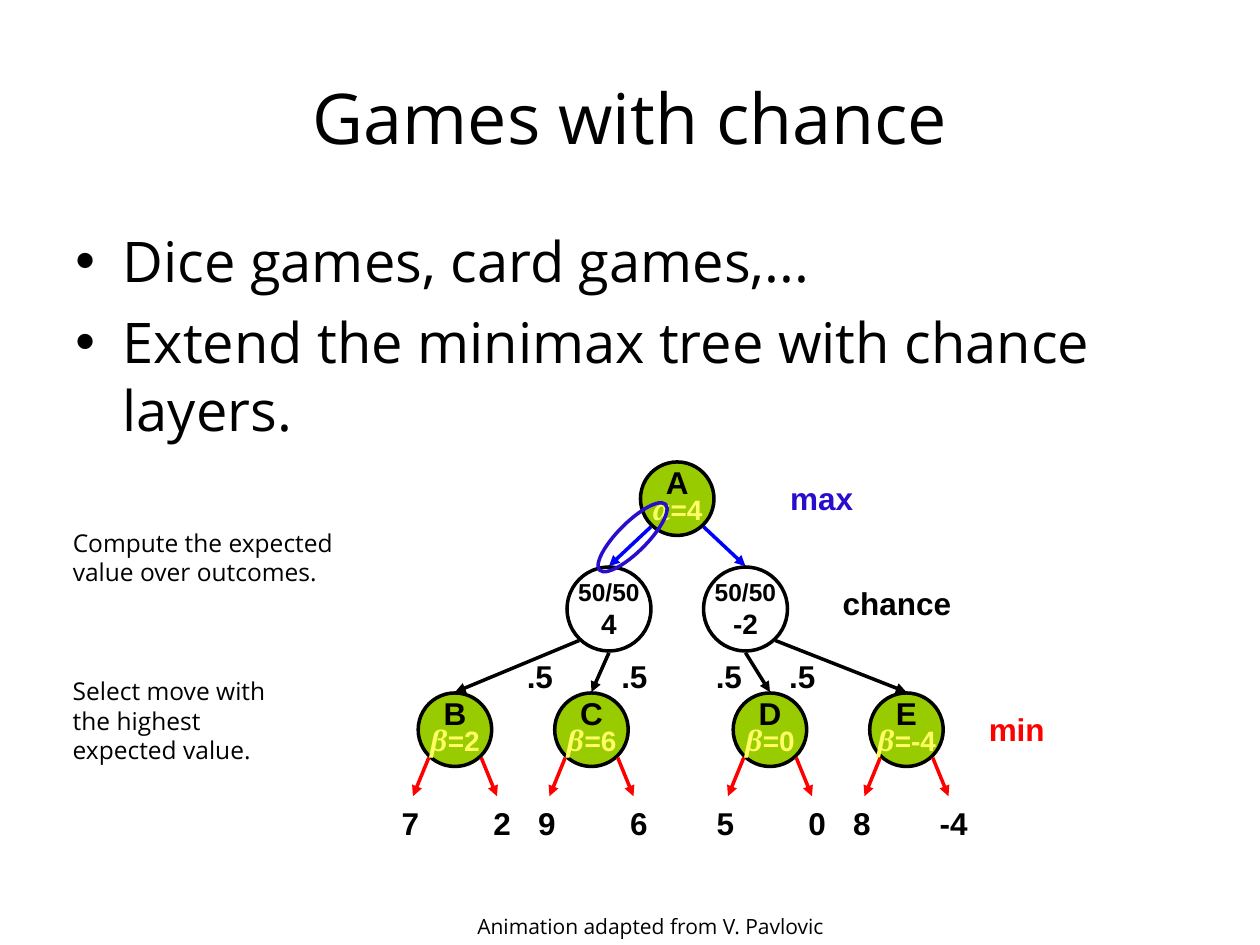
from lxml import etree
from pptx import Presentation
from pptx.dml.color import RGBColor
from pptx.enum.shapes import MSO_CONNECTOR, MSO_SHAPE
from pptx.enum.text import MSO_ANCHOR, MSO_AUTO_SIZE, PP_ALIGN
from pptx.oxml.ns import qn
from pptx.util import Pt

LEFT, CENTER = PP_ALIGN.LEFT, PP_ALIGN.CENTER
TOP, MIDDLE = MSO_ANCHOR.TOP, MSO_ANCHOR.MIDDLE
GROW = MSO_AUTO_SIZE.SHAPE_TO_FIT_TEXT
OVAL, STRAIGHT = MSO_SHAPE.OVAL, MSO_CONNECTOR.STRAIGHT
COLORS = {
    "black": "000000", "white": "FFFFFF", "green": "99CC00", "yellow": "FFFF66",
    "blue": "0000FF", "violet": "290DCF", "red": "FF0000",
}
BODY, LABEL, GREEK = "Open Sans", "Arial", "Cambria"
LINE_W = 2
NODE, CHANCE = 42, 48          # circle diameters
LABEL_H = 28.8


def rgb(name):
    return RGBColor.from_string(COLORS[name])


def add_run(p, text, size, font=BODY, color="black", bold=False, italic=False):
    r = p.add_run()
    r.text = text
    f = r.font
    f.size, f.name, f.bold, f.italic = Pt(size), font, bold, italic
    f.color.rgb = rgb(color)


def add_text(s, x, y, w, h, text, size, align=LEFT, anchor=TOP, wrap=True, **style):
    tf = s.shapes.add_textbox(Pt(x), Pt(y), Pt(w), Pt(h)).text_frame
    tf.word_wrap, tf.vertical_anchor = wrap, anchor
    if not wrap:
        tf.auto_size = GROW
    p = tf.paragraphs[0]
    p.alignment = align
    add_run(p, text, size, **style)


def add_label(s, cx, y, text, color="black", w=40):
    add_text(s, cx - w / 2, y, w, LABEL_H, text, 18, CENTER, wrap=False,
             font=LABEL, color=color, bold=True)


def add_oval(s, cx, cy, w, h, line="black", fill=None):
    sp = s.shapes.add_shape(OVAL, Pt(cx - w / 2), Pt(cy - h / 2), Pt(w), Pt(h))
    sp.shadow.inherit = False
    if fill:
        sp.fill.solid()
        sp.fill.fore_color.rgb = rgb(fill)
    else:
        sp.fill.background()
    sp.line.color.rgb = rgb(line)
    sp.line.width = Pt(LINE_W)
    sp.text_frame.word_wrap = False
    sp.text_frame.vertical_anchor = MIDDLE
    return sp


def add_arrow(s, x1, y1, x2, y2, color):
    c = s.shapes.add_connector(STRAIGHT, Pt(x1), Pt(y1), Pt(x2), Pt(y2))
    c.line.color.rgb = rgb(color)
    c.line.width = Pt(LINE_W)
    etree.SubElement(c.line._get_or_add_ln(), qn("a:tailEnd"), type="triangle")
    etree.SubElement(c._element.spPr, qn("a:effectLst"))


def player_node(s, cx, cy, name, greek, value):
    p = add_oval(s, cx, cy, NODE, NODE, fill="green").text_frame.paragraphs[0]
    p.alignment, p.line_spacing = CENTER, 0.75
    add_run(p, name, 18, LABEL, bold=True)
    p.add_line_break()
    add_run(p, greek, 16, GREEK, "yellow", bold=True, italic=True)
    add_run(p, "=" + value, 16, LABEL, "yellow", bold=True)


def chance_node(s, cx, cy, value):
    tf = add_oval(s, cx, cy, CHANCE, CHANCE, fill="white").text_frame
    for p, text, size in ((tf.paragraphs[0], "50/50", 14),
                          (tf.add_paragraph(), value, 16)):
        p.alignment = CENTER
        add_run(p, text, size, LABEL, bold=True)


def min_branch(s, cx, cy, name, value, leaves):
    player_node(s, cx, cy, name, "β", value)
    for side, shift, leaf in zip((-1, 1), (-25.5, 27), leaves):
        add_arrow(s, cx + 15 * side, cy + 16, cx + 24 * side, cy + 38, "red")
        add_label(s, cx + shift, cy + 39, leaf)


def game_tree(s, x, y):
    root_x, root_y = x + 165, y + 21
    chance_y, min_y = y + 84, y + 153
    chance_top, min_top = chance_y - CHANCE / 2 - 0.5, min_y - NODE / 2 - 0.5

    # Chance layer: side, centre, value, outer and inner child
    for side, cx, value, outer, inner in ((-1, 126, "4", 38, 116),
                                          (1, 204, "-2", 296, 218)):
        add_arrow(s, root_x + 15 * side, root_y + 16, x + cx, chance_top, "blue")
        add_arrow(s, x + cx + 17 * side, chance_y + 18, x + outer, min_top, "black")
        add_arrow(s, x + cx, chance_y + 25, x + inner, min_top, "black")
        chance_node(s, x + cx, chance_y, value)
    for cx in (86.5, 140.5, 194.5, 236.5):
        add_label(s, x + cx, y + 108, ".5")

    # Min layer with leaves
    for cx, name, value, leaves in ((38, "B", "2", ("7", "2")),
                                    (116, "C", "6", ("9", "6")),
                                    (218, "D", "0", ("5", "0")),
                                    (296, "E", "-4", ("8", "-4"))):
        min_branch(s, x + cx, min_y, name, value, leaves)

    # Root and the marked best move
    player_node(s, root_x, root_y, "A", "α", "4")
    add_oval(s, x + 139.5, y + 43, 53.3, 16.6, line="violet").rotation = 315

    # Layer names
    for cx, dy, text, color, w in ((247.5, 6, "max", "violet", 60),
                                   (290.5, 66, "chance", "black", 90),
                                   (359, 138, "min", "red", 60)):
        add_label(s, x + cx, y + dy, text, color, w)


def bullet_list(s, x, y, w, h, items):
    tf = s.shapes.add_textbox(Pt(x), Pt(y), Pt(w), Pt(h)).text_frame
    tf.word_wrap = True
    for i, item in enumerate(items):
        p = tf.add_paragraph() if i else tf.paragraphs[0]
        p.space_before = Pt(8)
        pPr = p._p.get_or_add_pPr()
        pPr.set("marL", str(Pt(27)))
        pPr.set("indent", str(-Pt(27)))
        etree.SubElement(pPr, qn("a:buFont"), typeface=LABEL)
        etree.SubElement(pPr, qn("a:buChar"), char="•")
        add_run(p, item, 32)


def games_slide(prs):
    s = prs.slides.add_slide(prs.slide_layouts[6])
    add_text(s, 36, 21.6, 648, 90, "Games with chance", 40, CENTER, MIDDLE)
    bullet_list(s, 36, 126, 648, 356, (
        "Dice games, card games,...",
        "Extend the minimax tree with chance layers."))
    game_tree(s, 222, 264)
    # Side notes and credit
    add_text(s, 34.5, 298, 170, 41, "Compute the expected value over outcomes.", 14)
    add_text(s, 34.5, 383, 130, 58, "Select move with the highest expected value.", 14)
    add_text(s, 265.7, 518.4, 215.3, 21.6, "Animation adapted from V. Pavlovic", 12,
             wrap=False)


prs = Presentation()
prs.slide_width, prs.slide_height = Pt(720), Pt(540)
games_slide(prs)
prs.save("out.pptx")
